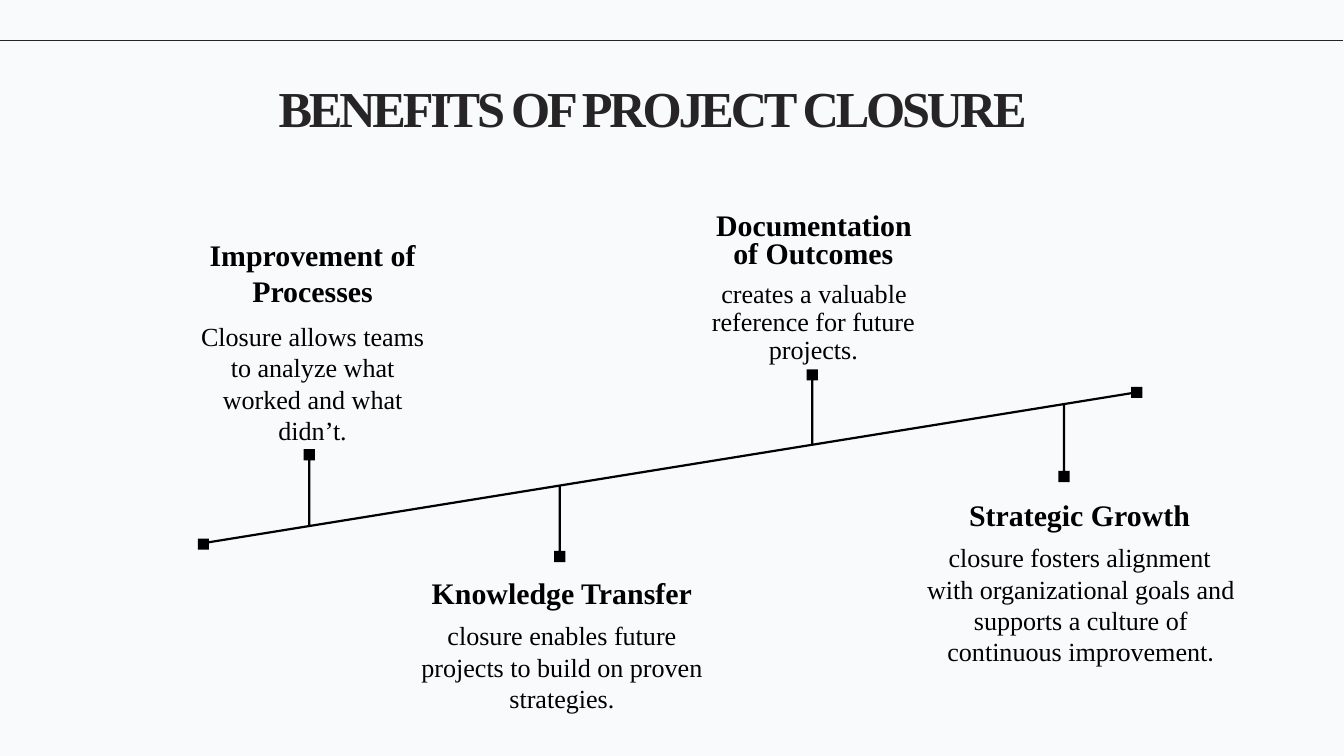
from dataclasses import dataclass

from lxml.etree import SubElement
from pptx import Presentation
from pptx.dml.color import RGBColor
from pptx.enum.shapes import MSO_CONNECTOR
from pptx.enum.text import MSO_ANCHOR, MSO_AUTO_SIZE, PP_ALIGN
from pptx.oxml.ns import qn
from pptx.util import Pt

FONT = "Times New Roman"
BLACK, CHARCOAL, PALE = "000000", "262425", "F8FAFB"

# Timeline geometry in points
LEFT_END, RIGHT_END = 224, 1212.5
LEFT_TOP, RIGHT_TOP = 580.3, 420.5
THICKNESS = 2.4
STEM_HALF, MARKER_HALF = 1.2, 6


@dataclass
class Box:
    left: float
    top: float
    width: float
    height: float


@dataclass
class Benefit:
    heading: str
    body: str
    box: Box
    inset: float
    space_before: float
    margin_left: float = 0
    margin_right: float = 0
    indent: float = 0
    line_spacing: float | None = None
    ending: str = ""


@dataclass
class Stem:
    center: float
    tip: float


BENEFITS = [
    Benefit("Documentation of Outcomes", "creates a valuable reference for future projects.",
            Box(708.5, 218.2, 316, 175), 11.7, 11.7, 46.8, 36, 1.4, line_spacing=30),
    Benefit("Knowledge Transfer", "closure enables future projects to build on proven strategies.",
            Box(432.7, 602.6, 342, 164.2), 13.7, 9.9, 16.6, 19.4),
    Benefit("Strategic Growth",
            "closure fosters alignment with organizational goals and supports a culture of "
            "continuous improvement",
            Box(978.5, 517.7, 360, 200.2), 14.4, 10.5, 14.4, 14.4, -2.2, ending="."),
    Benefit("Improvement of Processes", "Closure allows teams to analyze what worked and what didn’t.",
            Box(208, 240.5, 254.2, 239.8), 13, 13.2),
]
UPPER_STEMS = [Stem(331.6, 481.7), Stem(870.8, 396)]
LOWER_STEMS = [Stem(600.1, 602.8), Stem(1140.5, 517)]


def color(value: str) -> RGBColor:
    return RGBColor.from_string(value)


def set_font(font, size: float, value: str, bold: bool) -> None:
    font.name = FONT
    font.size = Pt(size)
    font.bold = bold
    font.color.rgb = color(value)


def set_frame(frame, inset: float) -> None:
    frame.margin_left = frame.margin_right = frame.margin_bottom = 0
    frame.margin_top = Pt(inset)
    frame.vertical_anchor = MSO_ANCHOR.TOP
    frame.auto_size = MSO_AUTO_SIZE.NONE
    frame.word_wrap = True


def set_indents(paragraph, left: float, right: float, first: float) -> None:
    properties = paragraph._p.get_or_add_pPr()
    for name, value in (("marL", left), ("marR", right), ("indent", first)):
        properties.set(name, str(Pt(value)))


def add_title(slide, text: str) -> None:
    title = slide.shapes.title
    title.left, title.top, title.width, title.height = Pt(298), Pt(81.4), Pt(938), Pt(67)
    set_frame(title.text_frame, 1.4)
    paragraph = title.text_frame.paragraphs[0]
    paragraph.text = text
    paragraph.alignment = PP_ALIGN.LEFT
    paragraph.space_before = Pt(1.2)
    set_indents(paragraph, 0.7, 0, 0)
    set_font(paragraph.font, 54, CHARCOAL, True)
    paragraph.runs[0]._r.get_or_add_rPr().set("spc", "-350")


def add_benefit(slide, benefit: Benefit) -> None:
    box = benefit.box
    shape = slide.shapes.add_textbox(Pt(box.left), Pt(box.top), Pt(box.width), Pt(box.height))
    frame = shape.text_frame
    set_frame(frame, benefit.inset)
    heading, body = frame.paragraphs[0], frame.add_paragraph()
    for paragraph, text, size in ((heading, benefit.heading, 32), (body, benefit.body, 28)):
        paragraph.text = text
        paragraph.alignment = PP_ALIGN.CENTER
        paragraph.space_before = Pt(benefit.space_before)
        if benefit.line_spacing:
            paragraph.line_spacing = Pt(benefit.line_spacing)
        set_indents(paragraph, benefit.margin_left, benefit.margin_right, benefit.indent)
        set_font(paragraph.font, size, BLACK, paragraph is heading)
    if benefit.ending:
        run = body.add_run()
        run.text = benefit.ending
        run.font.name = "Calibri"


def edge(x: float) -> float:
    """Height of the upper edge of the rising line at x."""
    return LEFT_TOP + (RIGHT_TOP - LEFT_TOP) * (x - LEFT_END) / (RIGHT_END - LEFT_END)


def stem_points(stem: Stem, side: int) -> list[tuple[float, float]]:
    """Outline of a stem and its square; side is -1 above the line and 1 below."""
    base = stem.tip - side * 2 * MARKER_HALF
    offset = THICKNESS if side > 0 else 0
    inner = side * STEM_HALF
    outer = side * MARKER_HALF
    near, far = stem.center - inner, stem.center + inner
    return [(near, edge(near) + offset), (near, base), (stem.center - outer, base),
            (stem.center - outer, stem.tip), (stem.center + outer, stem.tip),
            (stem.center + outer, base), (far, base), (far, edge(far) + offset)]


def end_points(x: float, top: float, direction: int) -> list[tuple[float, float]]:
    """Square at one end of the line; direction is -1 at the left and 1 at the right."""
    size = 2 * MARKER_HALF
    corners = [(x, top), (x + direction * size, top),
               (x + direction * size, top + size), (x, top + size)]
    joints = [(x, edge(x)), (x, edge(x) + THICKNESS)]
    if direction < 0:
        return [joints[0], *corners, joints[1]]
    return [joints[1], *reversed(corners), joints[0]]


def add_timeline(slide) -> None:
    points = []
    for stem in reversed(UPPER_STEMS):
        points += reversed(stem_points(stem, -1)[::-1])
    points += end_points(LEFT_END, 577.5, -1)
    for stem in LOWER_STEMS:
        points += stem_points(stem, 1)
    points += end_points(RIGHT_END, 414.8, 1)
    outline = [(Pt(x), Pt(y)) for x, y in points]
    builder = slide.shapes.build_freeform(*outline[0], scale=1.0)
    builder.add_line_segments(outline[1:], close=True)
    shape = builder.convert_to_shape()
    shape.shadow.inherit = False
    shape.fill.solid()
    shape.fill.fore_color.rgb = color(BLACK)
    shape.line.fill.background()


def add_header_rule(slide) -> None:
    rule = slide.shapes.add_connector(MSO_CONNECTOR.STRAIGHT, Pt(0), Pt(43.2), Pt(1440), Pt(43.2))
    rule.line.color.rgb = color(CHARCOAL)
    rule.line.width = Pt(1.47)
    SubElement(rule._element.spPr, qn("a:effectLst"))


def main() -> None:
    presentation = Presentation()
    presentation.slide_width, presentation.slide_height = Pt(1440.7), Pt(810.7)
    slide = presentation.slides.add_slide(presentation.slide_layouts[5])
    slide.background.fill.solid()
    slide.background.fill.fore_color.rgb = color(PALE)

    # Title, timeline, benefits and header rule
    add_title(slide, "BENEFITS OF PROJECT CLOSURE")
    add_timeline(slide)
    for benefit in BENEFITS:
        add_benefit(slide, benefit)
    add_header_rule(slide)
    presentation.save("out.pptx")


if __name__ == "__main__":
    main()
